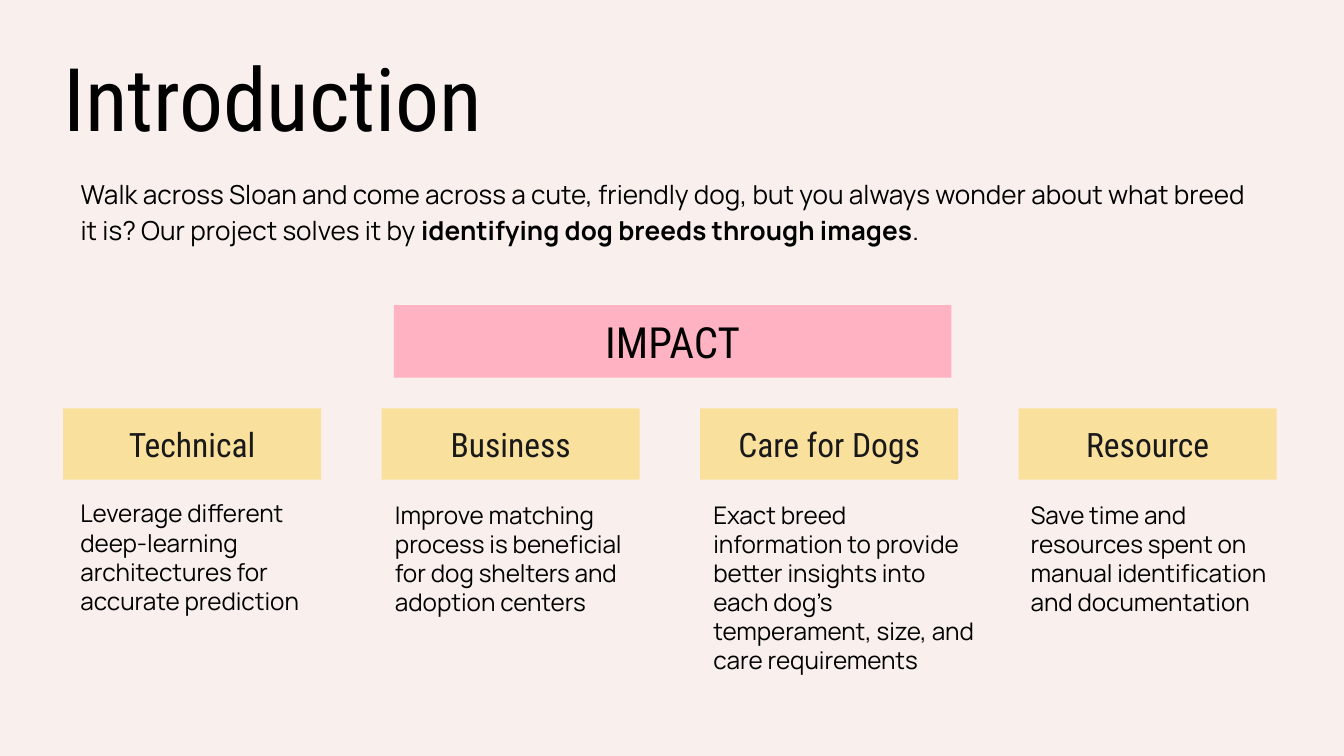
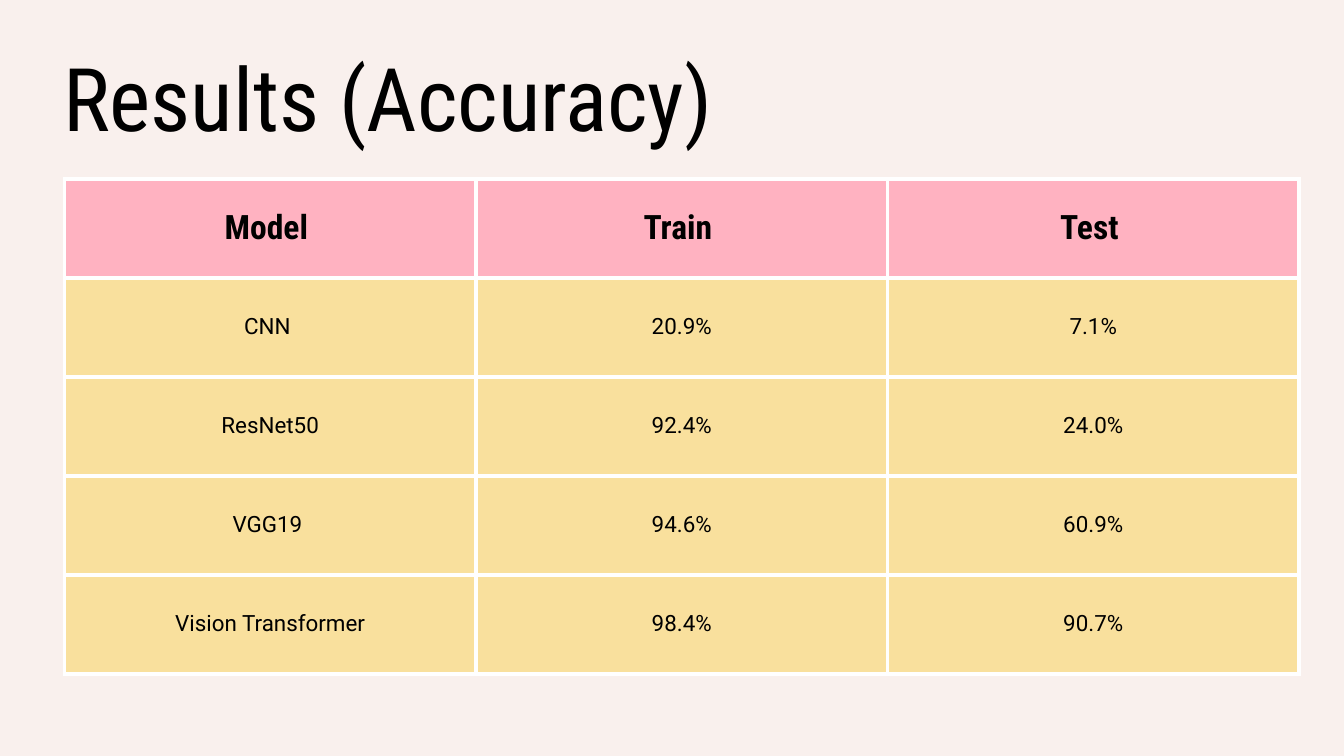
from lxml import etree
from pptx import Presentation
from pptx import util as u
from pptx.dml.color import RGBColor
from pptx.enum import shapes, text
from pptx.oxml import ns

BACKDROP, PINK, YELLOW = "F9F0ED", "FFB2C1", "F9E09D"
BLACK, CHARCOAL, WHITE = "000000", "191919", "FFFFFF"
HEADING, BODY, FIGURES = "Roboto Condensed", "Manrope", "Roboto"
LEFT, CENTER = text.PP_ALIGN.LEFT, text.PP_ALIGN.CENTER
TOP, MIDDLE = text.MSO_ANCHOR.TOP, text.MSO_ANCHOR.MIDDLE

deck = Presentation()
deck.slide_width = u.Inches(10)
deck.slide_height = deck.slide_width * 9 // 16


def rgb(code):
    return RGBColor.from_string(code)


def write(holder, runs, font, box=None, align=LEFT, anchor=TOP, spacing=1.0):
    """Fill a shape or cell with (words, bold) runs; box is in percent of the slide."""
    frame = holder.text_frame
    if box:
        sides = (deck.slide_width, deck.slide_height) * 2
        for side, share, full in zip(("left", "top", "width", "height"), box, sides):
            setattr(holder, side, round(full * share / 100))
        layout = {"word_wrap": True, "auto_size": text.MSO_AUTO_SIZE.NONE,
                  "vertical_anchor": anchor}
        layout |= {f"margin_{edge}": u.Inches(0.1)
                   for edge in ("left", "top", "right", "bottom")}
        for key, value in layout.items():
            setattr(frame, key, value)
    else:
        holder.vertical_anchor = anchor
    paragraph = frame.paragraphs[0]
    for key, value in {"alignment": align, "line_spacing": spacing,
                       "space_before": u.Pt(0)}.items():
        setattr(paragraph, key, value)
    name, size, color = font
    for words, bold in runs:
        run = paragraph.add_run()
        run.text = words
        for key, value in {"name": name, "size": u.Pt(size), "bold": bold}.items():
            setattr(run.font, key, value)
        run.font.color.rgb = rgb(color)


# Shared background and titles
backdrop = deck.slide_master.background.fill
backdrop.solid()
backdrop.fore_color.rgb = rgb(BACKDROP)

slides = []
for heading, layout_index, width in (("Introduction", 1, 37.1),
                                     ("Results (Accuracy)", 5, 52.5)):
    slide = deck.slides.add_slide(deck.slide_layouts[layout_index])
    write(slide.shapes.title, [(heading, False)], (HEADING, 47, BLACK),
          (3.7, 1.78, width, 23.64), anchor=MIDDLE, spacing=0.9)
    slides.append(slide)
introduction, results = slides

# Introduction: pitch, then four areas of impact
pitch = introduction.placeholders[1]
pitch_format = pitch.text_frame.paragraphs[0]._p.get_or_add_pPr()
for key in ("marL", "indent"):
    pitch_format.set(key, "0")
etree.SubElement(pitch_format, ns.qn("a:buNone"))
write(pitch, [
    ("Walk across Sloan and come across a cute, friendly dog, but you always "
     "wonder about what breed it is? Our project solves it by ", False),
    ("identifying dog breeds through images", True),
    (".", False),
], (BODY, 14, BLACK), (5, 21.16, 89.6, 13.69), spacing=1.15)

AREA_LEFT, AREA_STEP, AREA_WIDTH = 4.7, 23.7, 19.2
areas = [
    ("Technical", 5, 18.7,
     "Leverage different deep-learning architectures for accurate prediction"),
    ("Business", 28.4, 19.2,
     "Improve matching process is beneficial for dog shelters and adoption centers"),
    ("Care for Dogs", 52.1, 21.4,
     "Exact breed information to provide better insights into each dog's "
     "temperament, size, and care requirements"),
    ("Resource", 75.7, 21.4,
     "Save time and resources spent on manual identification and documentation"),
]
banners = [("IMPACT", PINK, (HEADING, 23, BLACK), (29.3, 40.36, 41.5, 9.6))]
for column, (area, left, width, benefit) in enumerate(areas):
    banners.append((area, YELLOW, (HEADING, 18, CHARCOAL),
                    (AREA_LEFT + column * AREA_STEP, 54.04, AREA_WIDTH, 9.42)))
    description = introduction.shapes.add_textbox(0, 0, 0, 0)
    write(description, [(benefit, False)], (BODY, 13, BLACK),
          (left, 64.18 if column == 0 else 64.36, width, 23))

for label, color, font, box in banners:
    banner = introduction.shapes.add_shape(shapes.MSO_SHAPE.RECTANGLE, 0, 0, 0, 0)
    banner.shadow.inherit = False
    banner.fill.solid()
    banner.fill.fore_color.rgb = rgb(color)
    banner.line.fill.background()
    write(banner, [(label, False)], font, box, CENTER, MIDDLE)

# Results: accuracy of each model
accuracy = [
    ("Model ", "Train ", "Test "),
    ("CNN ", "20.9%", "7.1%"),
    ("ResNet50", "92.4%", "24.0%"),
    ("VGG19 ", "94.6%", "60.9%"),
    ("Vision Transformer", "98.4%", "90.7%"),
]
W, H = deck.slide_width, deck.slide_height
table = results.shapes.add_table(
    len(accuracy), len(accuracy[0]), round(W * 0.048), round(H * 0.2364),
    round(W * 0.9186), round(H * 0.6548)).table
table.horz_banding = False
for row, entries in enumerate(accuracy):
    is_header = row == 0
    for column, entry in enumerate(entries):
        cell = table.cell(row, column)
        write(cell, [(entry, is_header)],
              (HEADING, 18, BLACK) if is_header else (FIGURES, 12, BLACK),
              align=CENTER, anchor=MIDDLE)
        cell_format = cell._tc.get_or_add_tcPr()
        for edge in ("lnL", "lnR", "lnT", "lnB"):
            border = etree.SubElement(cell_format, ns.qn(f"a:{edge}"),
                                      w=str(u.Pt(2.25)))
            paint = etree.SubElement(border, ns.qn("a:solidFill"))
            etree.SubElement(paint, ns.qn("a:srgbClr"), val=WHITE)
        cell.fill.solid()
        cell.fill.fore_color.rgb = rgb(PINK if is_header else YELLOW)

deck.save("out.pptx")
